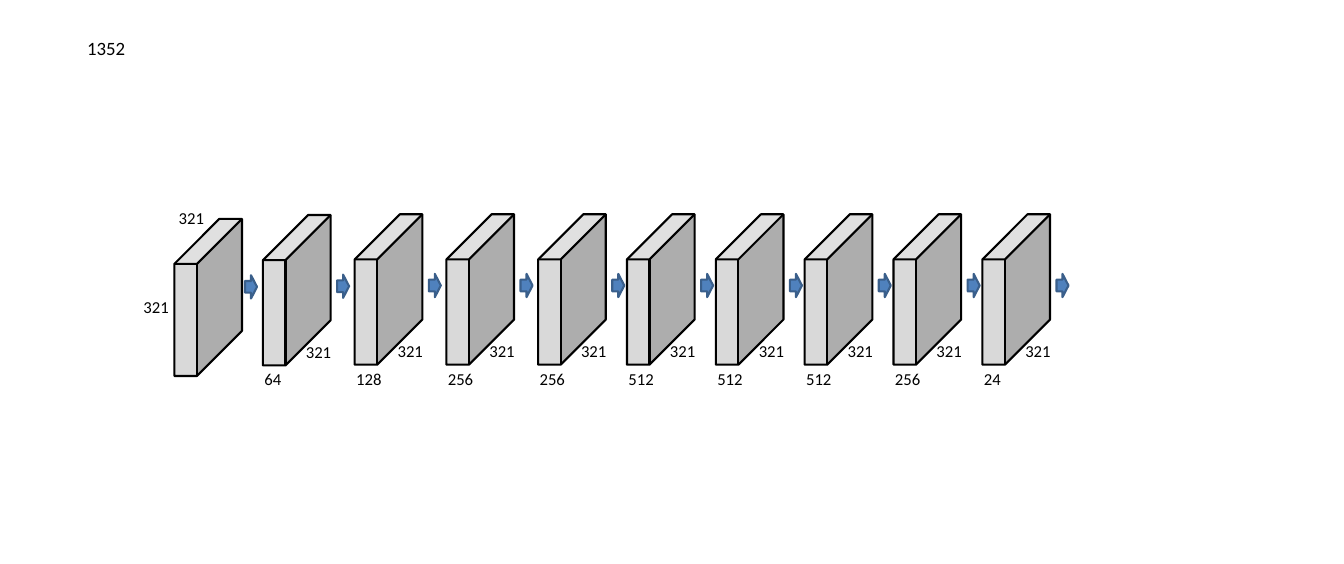
import pptx
import pptx.dml.color
import pptx.enum.shapes
import pptx.enum.text
import pptx.util

Pt = pptx.util.Pt
SHAPES = pptx.enum.shapes.MSO_SHAPE
SIDE = "321"
CUBE_WIDTH = 64.8
LAYER_HEIGHT = 144
LABEL_HEIGHT = 26.6
CHANNELS = ["64", "128", "256", "256", "512", "512", "512", "256", "24"]
FIRST_LEFT = 251.9
WIDE_STEP, WIDE_COUNT = 87.86, 3
NARROW_STEP = 85.1


def color(hex_string):
    return pptx.dml.color.RGBColor.from_string(hex_string)


def add_label(slide, text, left, top, width=54, height=LABEL_HEIGHT, size=16):
    box = slide.shapes.add_textbox(Pt(left), Pt(top), Pt(width), Pt(height))
    frame = box.text_frame
    frame.word_wrap = True
    frame.auto_size = pptx.enum.text.MSO_AUTO_SIZE.SHAPE_TO_FIT_TEXT
    paragraph = frame.paragraphs[0]
    paragraph.text = text
    paragraph.font.name = "Calibri"
    paragraph.font.size = Pt(size)
    paragraph.font.color.rgb = color("000000")


def add_block(slide, kind, left, top, width, height, fill, line):
    shape = slide.shapes.add_shape(kind, Pt(left), Pt(top), Pt(width), Pt(height))
    shape.shadow.inherit = False
    shape.fill.solid()
    shape.fill.fore_color.rgb = color(fill)
    shape.line.color.rgb = color(line)
    shape.line.width = Pt(2)
    return shape


def add_cube(slide, left, top, height):
    cube = add_block(slide, SHAPES.CUBE, left, top, CUBE_WIDTH, height, "D9D9D9", "000000")
    cube.adjustments[0] = 0.667


def add_arrow(slide, left, top):
    add_block(slide, SHAPES.RIGHT_ARROW, left, top, 11.5, 22.3, "4F81BD", "3A5F8B")


def add_input(slide, left, top):
    add_cube(slide, left, top, 150.5)
    add_label(slide, SIDE, left - 36.7, top + 71.3, 51.1)
    add_label(slide, SIDE, left - 2.9, top - 13.7)
    add_arrow(slide, left + 67.7, top + 54)


def add_layer(slide, channels, left, top):
    add_cube(slide, left, top, LAYER_HEIGHT)
    add_label(slide, SIDE, left + 34, top + 117.4)
    width = 39.6 if len(channels) == 2 else 48
    add_label(slide, channels, left - 5.7, top + LAYER_HEIGHT, width)
    add_arrow(slide, left + 71, top + 57)


def add_network(slide, left, top):
    add_input(slide, left, top + 4.3)
    for index, channels in enumerate(CHANNELS):
        wide_steps = min(index, WIDE_COUNT)
        layer_left = FIRST_LEFT + WIDE_STEP * wide_steps + NARROW_STEP * (index - wide_steps)
        add_layer(slide, channels, layer_left, top + (0.7 if index == 0 else 0))


def main():
    presentation = pptx.Presentation()
    presentation.slide_width = Pt(1287.36)
    presentation.slide_height = Pt(540)
    slide = presentation.slides.add_slide(presentation.slide_layouts[6])
    add_label(slide, "1352", 76.3, 31.7, height=29, size=18)
    add_network(slide, 167, 205.2)
    presentation.save("out.pptx")


if __name__ == "__main__":
    main()
